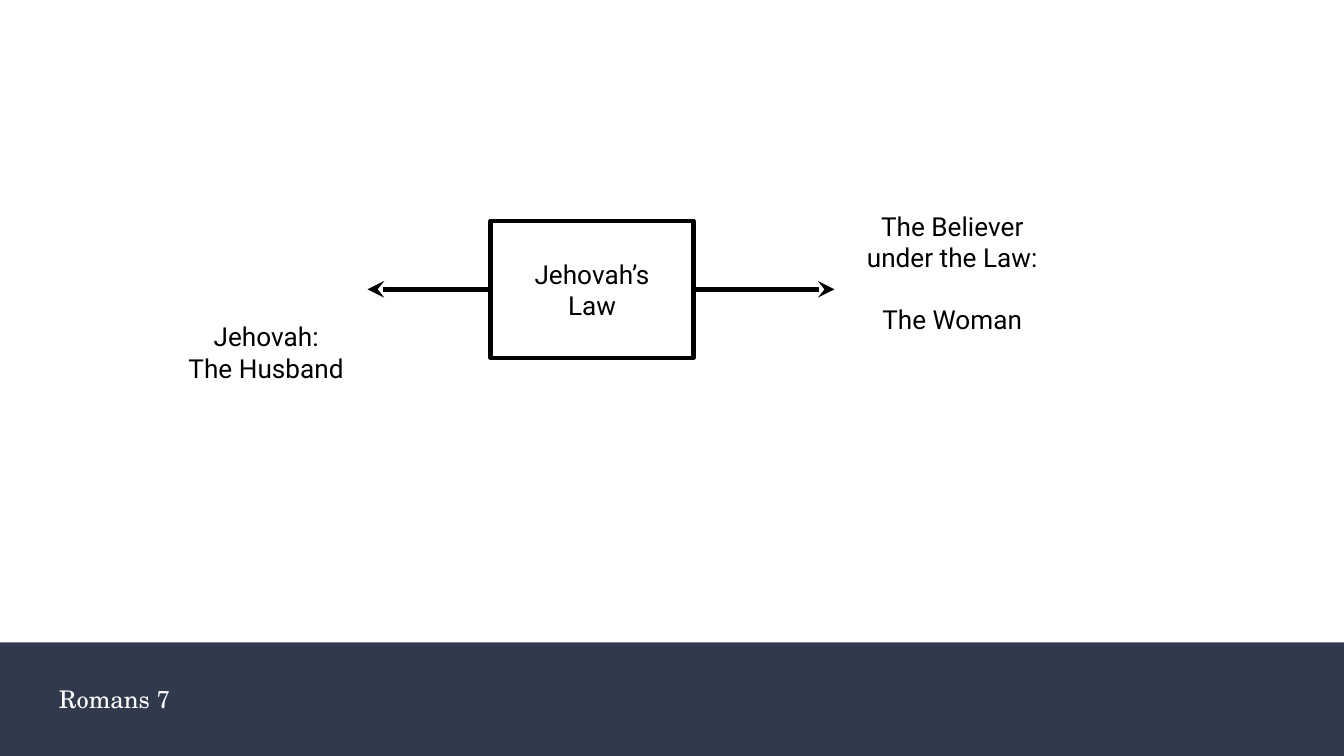
from lxml.etree import SubElement
from pptx import Presentation
from pptx.dml.color import RGBColor
from pptx.enum.shapes import MSO_CONNECTOR, MSO_SHAPE
from pptx.enum.text import MSO_ANCHOR, PP_ALIGN
from pptx.oxml.ns import qn
from pptx.util import Inches, Pt

NAVY = RGBColor(0x31, 0x39, 0x4D)
WHITE = RGBColor(0xFF, 0xFF, 0xFF)
BLACK = RGBColor(0x00, 0x00, 0x00)

# 16:9 slide on a grid of 100 columns with square cells
presentation = Presentation()
presentation.slide_width = Inches(10)
presentation.slide_height = presentation.slide_width * 9 // 16
CELL = presentation.slide_width / 100
ROWS = presentation.slide_height / CELL
slide = presentation.slides.add_slide(presentation.slide_layouts[6])


def cells(*counts):
    return [round(count * CELL) for count in counts]


def write(shape, lines, anchor=MSO_ANCHOR.MIDDLE, align=PP_ALIGN.CENTER,
          font="Roboto", size=14, color=BLACK, gap=0):
    frame = shape.text_frame
    frame.word_wrap = True
    frame.vertical_anchor = anchor
    frame.margin_left = frame.margin_right = round(CELL)
    frame.margin_top = frame.margin_bottom = round(CELL)
    for index, line in enumerate(lines):
        paragraph = frame.add_paragraph() if index else frame.paragraphs[0]
        paragraph.alignment = align
        if index:
            paragraph.space_before = Pt(gap)
        run = paragraph.add_run()
        run.text = line
        run.font.name = font
        run.font.size = Pt(size)
        run.font.color.rgb = color


# Footer band and its title
footer_top = 47.8
footer = slide.shapes.add_shape(
    MSO_SHAPE.RECTANGLE, *cells(0, footer_top, 100, ROWS - footer_top))
footer.shadow.inherit = False
footer.fill.solid()
footer.fill.fore_color.rgb = NAVY
footer.line.fill.background()
title = slide.shapes.add_textbox(*cells(3.4, 49.5, 87.3, 5))
write(title, ["Romans 7"], align=PP_ALIGN.LEFT,
      font="TeX Gyre Schola", size=13, color=WHITE)

# The two parties; the gap is one line of text
believer = slide.shapes.add_textbox(*cells(62.75, 14.1, 16.2, 12.4))
write(believer, ["The Believer under the Law:", "The Woman"], gap=16.4)
husband = slide.shapes.add_textbox(*cells(12.25, 22.85, 15.1, 7.7))
write(husband, ["Jehovah:", "The Husband"], anchor=MSO_ANCHOR.TOP)

# Double-headed arrow behind the law box
arrow = slide.shapes.add_connector(
    MSO_CONNECTOR.STRAIGHT, *cells(27.35, 21.53, 62.1, 21.53))
arrow.line.color.rgb = BLACK
arrow.line.width = Pt(3)
line_properties = arrow.line._get_or_add_ln()
for end in ("a:headEnd", "a:tailEnd"):
    SubElement(line_properties, qn(end), type="stealth")
SubElement(arrow._element.spPr, qn("a:effectLst"))

# Law box
law = slide.shapes.add_shape(
    MSO_SHAPE.RECTANGLE, *cells(36.5, 16.43, 15.1, 10.2))
law.shadow.inherit = False
law.fill.solid()
law.fill.fore_color.rgb = WHITE
law.line.color.rgb = BLACK
law.line.width = Pt(2.25)
write(law, ["Jehovah’s", "Law"])

presentation.save("out.pptx")
